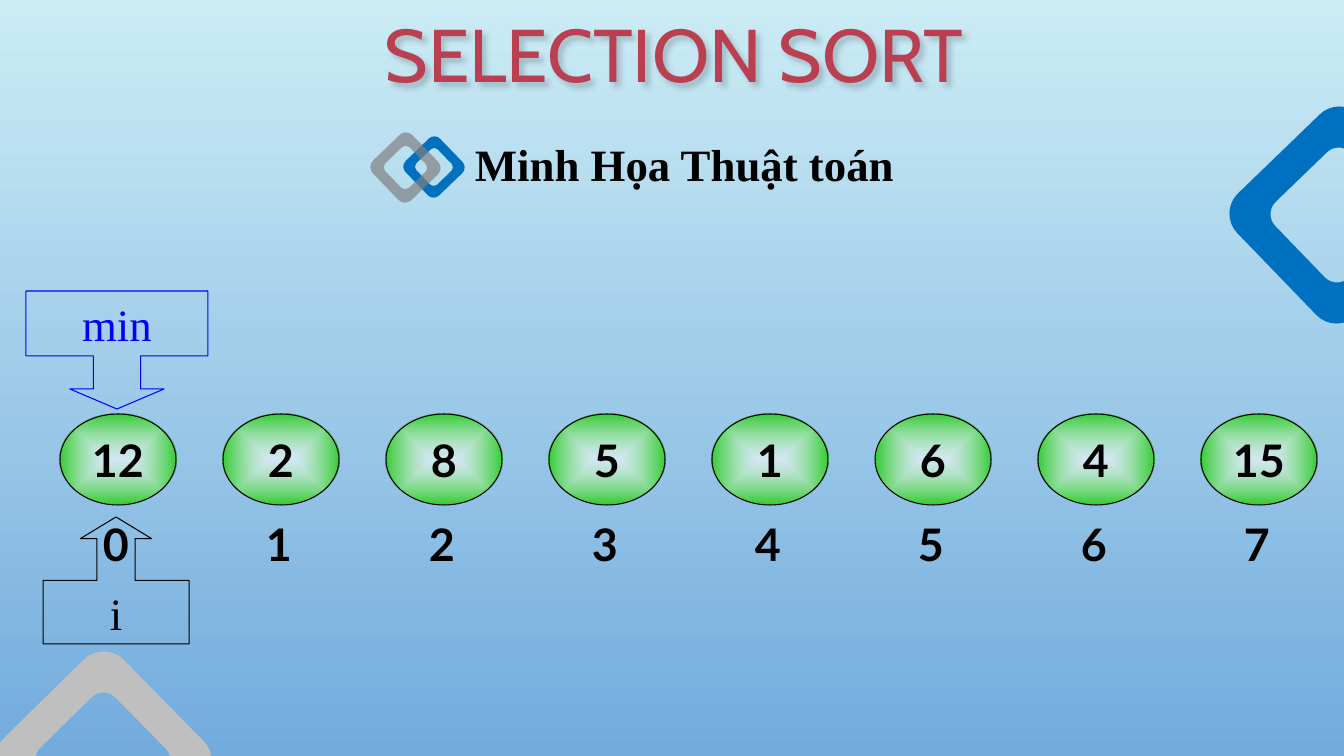
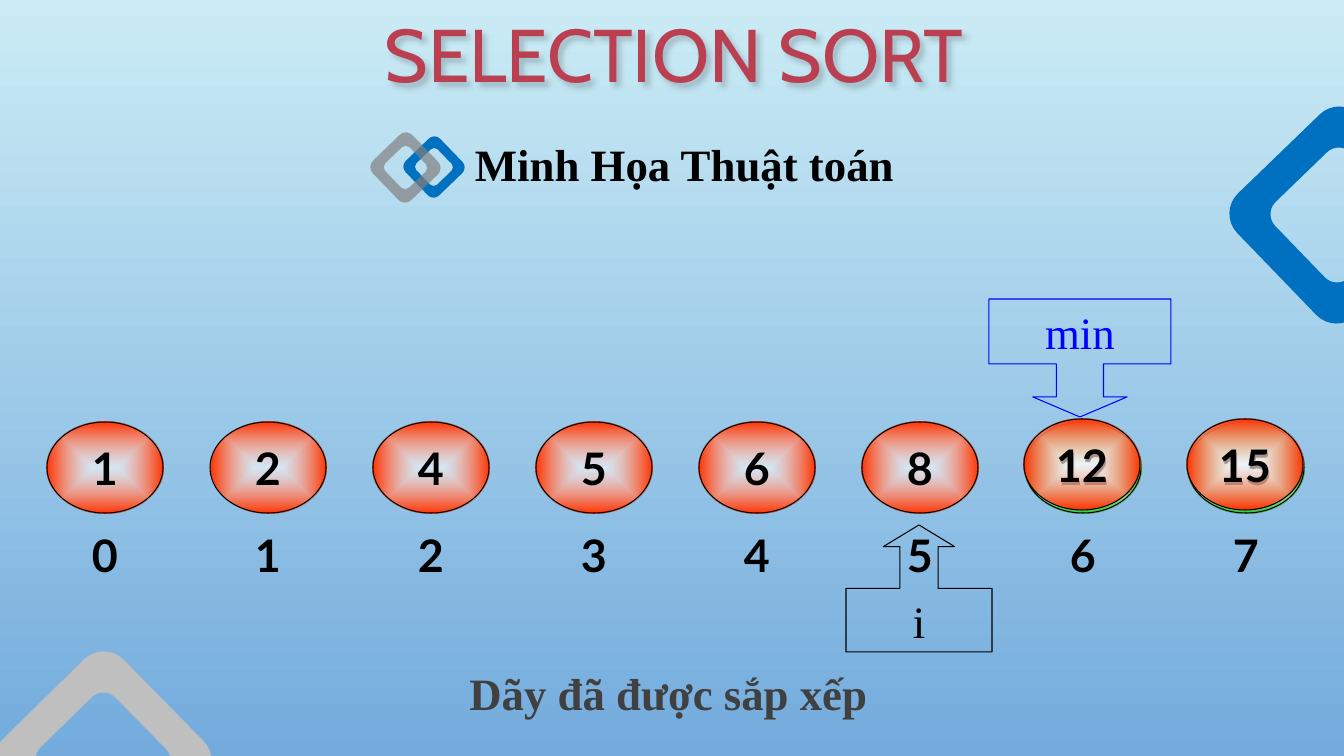
from lxml import etree
from pptx import Presentation
from pptx.dml.color import RGBColor
from pptx.enum.shapes import MSO_SHAPE
from pptx.enum.text import MSO_ANCHOR, PP_ALIGN
from pptx.oxml import parse_xml
from pptx.oxml.ns import nsdecls, qn
from pptx.util import Pt

TITLE = "SELECTION SORT"
SUBTITLE = "Minh Họa Thuật toán"
GREEN, RED, BLUE, BLACK = "33CC33", "FF3300", "0000FF", "000000"

# cells: (value, colour); raised: cells drawn again, slightly higher
# pointers: name, cell index, shift from the middle of the cell
STEPS = [
    {
        "cells": [(v, GREEN) for v in (12, 2, 8, 5, 1, 6, 4, 15)],
        "raised": {},
        "cell_at": (60, 414),
        "label_at": (58, 498),
        "pointers": [("i", 0, -2), ("min", 0, -1)],
        "caption": None,
    },
    {
        "cells": [(v, RED) for v in (1, 2, 4, 5, 6, 8)] + [(12, GREEN), (15, GREEN)],
        "raised": {6: RED, 7: RED},
        "cell_at": (47, 422),
        "label_at": (47, 509),
        "pointers": [("i", 5, -1), ("min", 6, -3)],
        "caption": "Dãy đã được sắp xếp",
    },
]

# left, top, side, rotation, colour, opacity in percent
CORNER_RINGS = [
    (18, 675, 170, 315.5, "BFBFBF", 100),
    (1253, 130, 170, 316, "0070C0", 100),
]
SUBTITLE_RINGS = [
    (410, 143, 48, 316, "0070C0", 100),
    (378, 140, 55, 316, "808080", 69),
]

# shape, width, height, top relative to the cells, adjustments, colour
POINTERS = {
    "i": (MSO_SHAPE.UP_ARROW_CALLOUT, 146, 127, 103,
          (0.3, 0.28, 0.17, 0.5), BLACK),
    "min": (MSO_SHAPE.DOWN_ARROW_CALLOUT, 182, 118, -123,
            (0.4, 0.4, 0.17, 0.55), BLUE),
}

WIDTH, HEIGHT = 1344, 756
SCALE = 12192000 / WIDTH
CELL_W, CELL_H, CELL_STEP = 116, 91, 163
SERIF, SANS = "Times New Roman", "Lato"


def px(n):
    return round(n * SCALE)


def box(*lengths):
    return [px(n) for n in lengths]


def rgb(color):
    return RGBColor.from_string(color)


def write(shape, text, font, color, size=32, bold=False, align=PP_ALIGN.CENTER):
    tf = shape.text_frame
    tf.text = text
    tf.vertical_anchor = MSO_ANCHOR.MIDDLE
    p = tf.paragraphs[0]
    p.alignment = align
    f = p.runs[0].font
    f.name, f.size, f.bold = font, Pt(size), bold
    f.color.rgb = rgb(color)


def add_plain_shape(s, kind, left, top, width, height, line=None):
    """Add a preset shape without fill or shadow."""
    sp = s.shapes.add_shape(kind, *box(left, top, width, height))
    sp.shadow.inherit = False
    sp.fill.background()
    if line:
        sp.line.color.rgb = rgb(line)
        sp.line.width = Pt(0.75)
    else:
        sp.line.fill.background()
    return sp


def fill_radial(sp, color):
    """Fade from translucent white in the centre to the colour at the edge."""
    old = sp._element.spPr.find(qn("a:noFill"))
    old.getparent().replace(old, parse_xml(
        f'<a:gradFill rotWithShape="1" {nsdecls("a")}><a:gsLst>'
        '<a:gs pos="0"><a:srgbClr val="FFFFFF"><a:alpha val="60000"/></a:srgbClr></a:gs>'
        f'<a:gs pos="100000"><a:srgbClr val="{color}"/></a:gs></a:gsLst>'
        '<a:path path="shape"><a:fillToRect l="50000" t="50000" r="50000" b="50000"/>'
        '</a:path></a:gradFill>'))


def add_oval(s, text, left, top, color=None):
    sp = add_plain_shape(s, MSO_SHAPE.OVAL, left, top, CELL_W, CELL_H,
                         BLACK if color else None)
    if color:
        fill_radial(sp, color)
    write(sp, str(text), SANS, BLACK, bold=True)
    sp.text_frame.word_wrap = False


def corner_points(left, top, side, radius):
    """List where the corners of a rounded square start and end, clockwise."""
    right, bottom, r = left + side, top + side, radius
    return [box(x, y) for x, y in (
        (left, top + r), (left + r, top), (right - r, top), (right, top + r),
        (right, bottom - r), (right - r, bottom), (left + r, bottom), (left, bottom - r))]


def round_corners(sp):
    """Turn every second line of the outline, the cut corners, into a curve."""
    count, start = 0, None
    for step in list(sp._element.iter(qn("a:moveTo"), qn("a:lnTo"))):
        pt = step.find(qn("a:pt"))
        end = int(pt.get("x")), int(pt.get("y"))
        if step.tag == qn("a:moveTo"):
            count = 0
        else:
            if count % 2 == 0:
                corner = (start[0], end[1]) if count % 4 == 0 else (end[0], start[1])
                curve = etree.Element(qn("a:cubicBezTo"))
                for a in (start, end):
                    x, y = (round(m + 0.55 * (n - m)) for m, n in zip(a, corner))
                    etree.SubElement(curve, qn("a:pt"), x=str(x), y=str(y))
                curve.append(pt)
                step.getparent().replace(step, curve)
            count += 1
        start = end


def add_ring(s, left, top, side, rotation, color, opacity):
    edge = side * 0.19
    outer = corner_points(left, top, side, side * 0.165)
    inner = corner_points(left + edge, top + edge, side - 2 * edge, side * 0.1)
    builder = s.shapes.build_freeform(*outer[0], scale=1)
    builder.add_line_segments(outer[1:], close=True)
    builder.move_to(*inner[0])
    builder.add_line_segments(inner[1:], close=True)
    sp = builder.convert_to_shape()
    round_corners(sp)
    sp.rotation = rotation
    sp.shadow.inherit = False
    sp.line.fill.background()
    sp.fill.solid()
    sp.fill.fore_color.rgb = rgb(color)
    if opacity < 100:
        clr = sp._element.spPr.find(qn("a:solidFill")).find(qn("a:srgbClr"))
        etree.SubElement(clr, qn("a:alpha"), val=str(opacity * 1000))


def add_pointer(s, name, index, shift, cell_at):
    kind, width, height, dy, adjustments, color = POINTERS[name]
    centre = cell_at[0] + index * CELL_STEP + CELL_W / 2 + shift
    sp = add_plain_shape(s, kind, centre - width / 2, cell_at[1] + dy,
                         width, height, color)
    for k, value in enumerate(adjustments):
        sp.adjustments[k] = value
    write(sp, name, SERIF, color)


def add_text(s, text, at, color, align=PP_ALIGN.CENTER, side=10):
    sp = s.shapes.add_textbox(*box(*at))
    tf = sp.text_frame
    tf.word_wrap = True
    tf.margin_left = tf.margin_right = px(side)
    write(sp, text, SERIF, color, bold=True, align=align)


def set_up_theme(prs):
    """Set the shared background and title place; return the layout."""
    fill = prs.slide_master.background.fill
    fill.gradient()
    fill.gradient_angle = 270
    for stop, color, position in zip(fill.gradient_stops, ("CBECF5", "73ABDD"), (0, 1)):
        stop.color.rgb = rgb(color)
        stop.position = position
    layout = prs.slide_layouts[5]
    title = layout.placeholders[0]
    title.left, title.top, title.width, title.height = box(0, 0, 1348, 106)
    return layout


def add_frame(s):
    """Add the title, subtitle and rings found on every slide."""
    title = s.shapes.title
    write(title, TITLE, "Cabin", "BA3F51", 53.3)
    title._element.spPr.append(parse_xml(
        f'<a:effectLst {nsdecls("a")}>'
        '<a:outerShdw blurRad="50800" dist="38100" dir="2700000" algn="tl" rotWithShape="0">'
        '<a:srgbClr val="000000"><a:alpha val="18000"/></a:srgbClr>'
        '</a:outerShdw></a:effectLst>'))
    for ring in CORNER_RINGS:
        add_ring(s, *ring)
    add_text(s, SUBTITLE, (475, 136, 448, 56), BLACK, PP_ALIGN.LEFT, 0)
    for ring in SUBTITLE_RINGS:
        add_ring(s, *ring)


def add_step(s, step):
    left, top = step["cell_at"]
    label_left, label_top = step["label_at"]
    for k, (value, color) in enumerate(step["cells"]):
        add_oval(s, value, left + k * CELL_STEP, top, color)
    for pointer in step["pointers"]:
        add_pointer(s, *pointer, step["cell_at"])
    for k in range(len(step["cells"])):
        add_oval(s, k, label_left + k * CELL_STEP, label_top)
    for k, color in step["raised"].items():
        add_oval(s, step["cells"][k][0], left + k * CELL_STEP - 1, top - 3, color)
    if step["caption"]:
        add_text(s, step["caption"], (312, 661, 713, 64), "404040")


def main():
    prs = Presentation()
    prs.slide_width, prs.slide_height = box(WIDTH, HEIGHT)
    layout = set_up_theme(prs)
    for step in STEPS:
        s = prs.slides.add_slide(layout)
        add_frame(s)
        add_step(s, step)
    prs.save("out.pptx")


if __name__ == "__main__":
    main()
